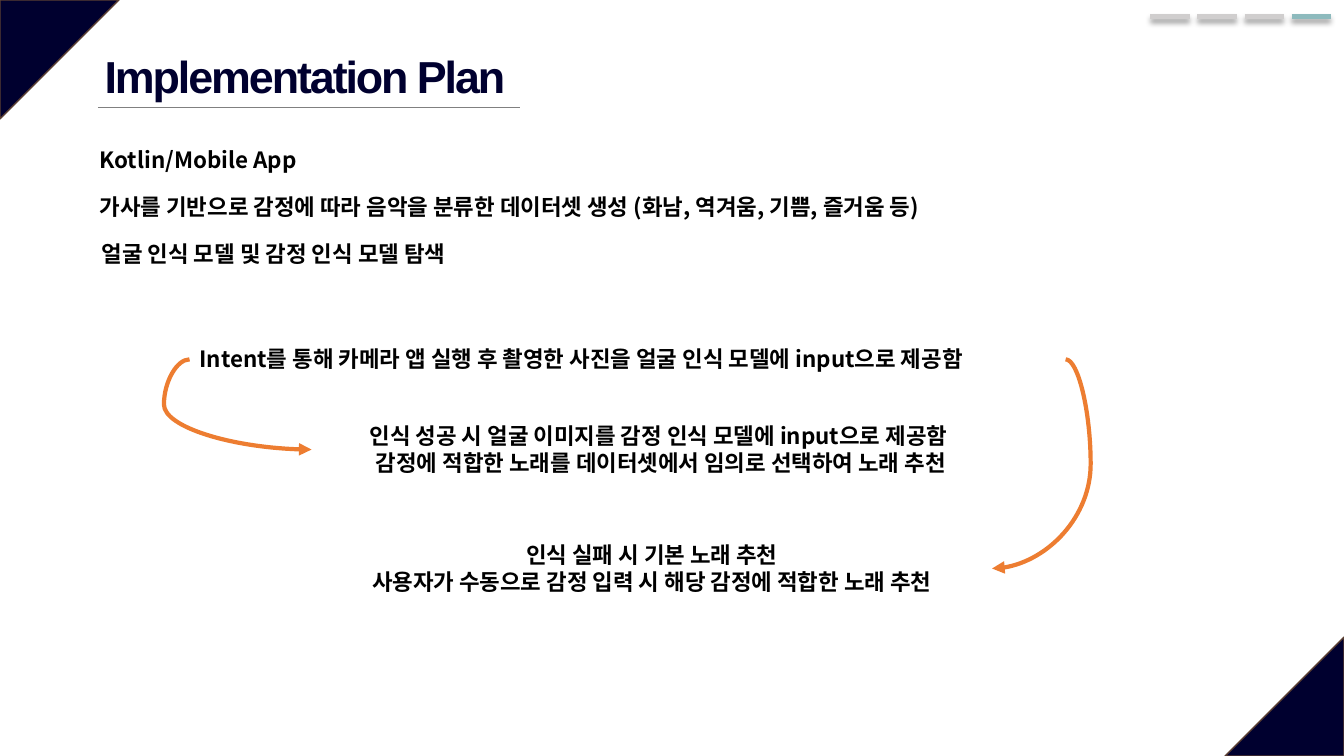
from lxml.etree import SubElement
from pptx import Presentation
from pptx.dml.color import RGBColor
from pptx.enum.shapes import MSO_CONNECTOR, MSO_SHAPE
from pptx.enum.text import MSO_ANCHOR, MSO_AUTO_SIZE, PP_ALIGN
from pptx.oxml.ns import qn
from pptx.util import Inches, Pt


def color(code):
    return RGBColor.from_string(code)


class Deck:
    navy = "00002F"
    black = "000000"
    orange = "ED7D31"
    head = "Arial"
    body = "Noto Sans CJK KR"

    def __init__(self):
        self.show = Presentation()
        self.show.slide_width = Inches(13.33)
        self.show.slide_height = Inches(7.5)
        self.slide = self.show.slides.add_slide(self.show.slide_layouts[5])

    def run(self, para, text, font, size, ink):
        run = para.add_run()
        run.text = text
        run.font.name = font
        run.font.size = Pt(size)
        run.font.bold = True
        run.font.color.rgb = color(ink)
        props = run.font._element
        SubElement(props, qn("a:ea")).set("typeface", font)
        return props

    def title(self, text, left, top, width, height):
        shape = self.slide.shapes.title
        shape.left, shape.top = Inches(left), Inches(top)
        shape.width, shape.height = Inches(width), Inches(height)
        frame = shape.text_frame
        frame.word_wrap = False
        frame.auto_size = MSO_AUTO_SIZE.SHAPE_TO_FIT_TEXT
        frame.vertical_anchor = MSO_ANCHOR.TOP
        para = frame.paragraphs[0]
        para.alignment = PP_ALIGN.CENTER
        self.run(para, text, self.head, 32, self.navy).set("spc", "-150")

    def text(self, lines, left, top, width, height=0.37, align=PP_ALIGN.LEFT):
        box = self.slide.shapes.add_textbox(
            Inches(left), Inches(top), Inches(width), Inches(height))
        frame = box.text_frame
        frame.word_wrap = True
        frame.auto_size = MSO_AUTO_SIZE.SHAPE_TO_FIT_TEXT
        for i, line in enumerate(lines):
            para = frame.add_paragraph() if i else frame.paragraphs[0]
            para.alignment = align
            self.run(para, line, self.body, 16, self.black)
        return box

    def corner(self, left, top, turn):
        shape = self.slide.shapes.add_shape(
            MSO_SHAPE.ISOSCELES_TRIANGLE,
            Inches(left), Inches(top), Inches(1.18), Inches(1.18))
        shape.adjustments[0] = 0
        shape.rotation = turn
        shape.shadow.inherit = False
        shape.fill.solid()
        shape.fill.fore_color.rgb = color(self.navy)
        shape.line.color.rgb = color("5B3F33")
        shape.line.width = Pt(1)

    def line(self, start, end, ink, width, kind=MSO_CONNECTOR.STRAIGHT, shade=False):
        link = self.slide.shapes.add_connector(
            kind, *(Inches(n) for n in (*start, *end)))
        link.line.color.rgb = color(ink)
        link.line.width = Pt(width)
        effect = SubElement(link._element.spPr, qn("a:effectLst"))
        if shade:
            cast = SubElement(effect, qn("a:outerShdw"), blurRad=str(Pt(4)),
                              dist=str(Pt(3)), dir="5400000", algn="t", rotWithShape="0")
            tint = SubElement(cast, qn("a:srgbClr"), val=self.black)
            SubElement(tint, qn("a:alpha"), val="40000")
        return link

    def curve(self, start, end, bend):
        link = self.line(start, end, self.orange, 3, MSO_CONNECTOR.CURVE)
        SubElement(link.line._get_or_add_ln(), qn("a:tailEnd"), type="triangle")
        guides = link._element.spPr.find(qn("a:prstGeom")).get_or_add_avLst()
        SubElement(guides, qn("a:gd"), name="adj1", fmla=f"val {round(bend * 100000)}")
        return link


def main():
    deck = Deck()
    deck.corner(0, 0, 90)
    deck.corner(12.15, 6.32, 270)
    deck.title("Implementation Plan", 0.89, 0.43, 4.27, 0.64)
    deck.line((0.97, 1.07), (5.16, 1.07), "808080", 0.5)

    deck.text(["Kotlin/Mobile App"], 0.89, 1.4, 5.26)
    deck.text(["가사를 기반으로 감정에 따라 음악을 분류한 데이터셋 생성 (화남, 역겨움, 기쁨, 즐거움 등)"],
              0.89, 1.87, 11.78)
    deck.text(["얼굴 인식 모델 및 감정 인식 모델 탐색"], 0.91, 2.33, 5.26)
    photo = deck.text(["Intent를 통해 카메라 앱 실행 후 촬영한 사진을 얼굴 인식 모델에 input으로 제공함"],
                      1.88, 3.38, 8.69)
    deck.text(["인식 성공 시 얼굴 이미지를 감정 인식 모델에 input으로 제공함 ",
               "감정에 적합한 노래를 데이터셋에서 임의로 선택하여 노래 추천"],
              1.7, 4.14, 9.71, 0.64, PP_ALIGN.CENTER)
    fail = deck.text(["인식 실패 시 기본 노래 추천",
                      "사용자가 수동으로 감정 입력 시 해당 감정에 적합한 노래 추천"],
                     3.09, 5.32, 6.75, 0.64, PP_ALIGN.CENTER)

    left = deck.curve((1.88, 3.56), (3.09, 4.46), -0.21)
    left.begin_connect(photo, 1)
    right = deck.curve((10.57, 3.56), (9.84, 5.64), -0.34)
    right.begin_connect(photo, 3)
    right.end_connect(fail, 3)

    for i, ink in enumerate(["D0CECE"] * 3 + ["8DBABD"]):
        x = 11.41 + i * 1.4 / 3
        deck.line((x, 0.16), (x + 0.39, 0.16), ink, 3.5, shade=True)

    deck.show.save("out.pptx")


if __name__ == "__main__":
    main()
